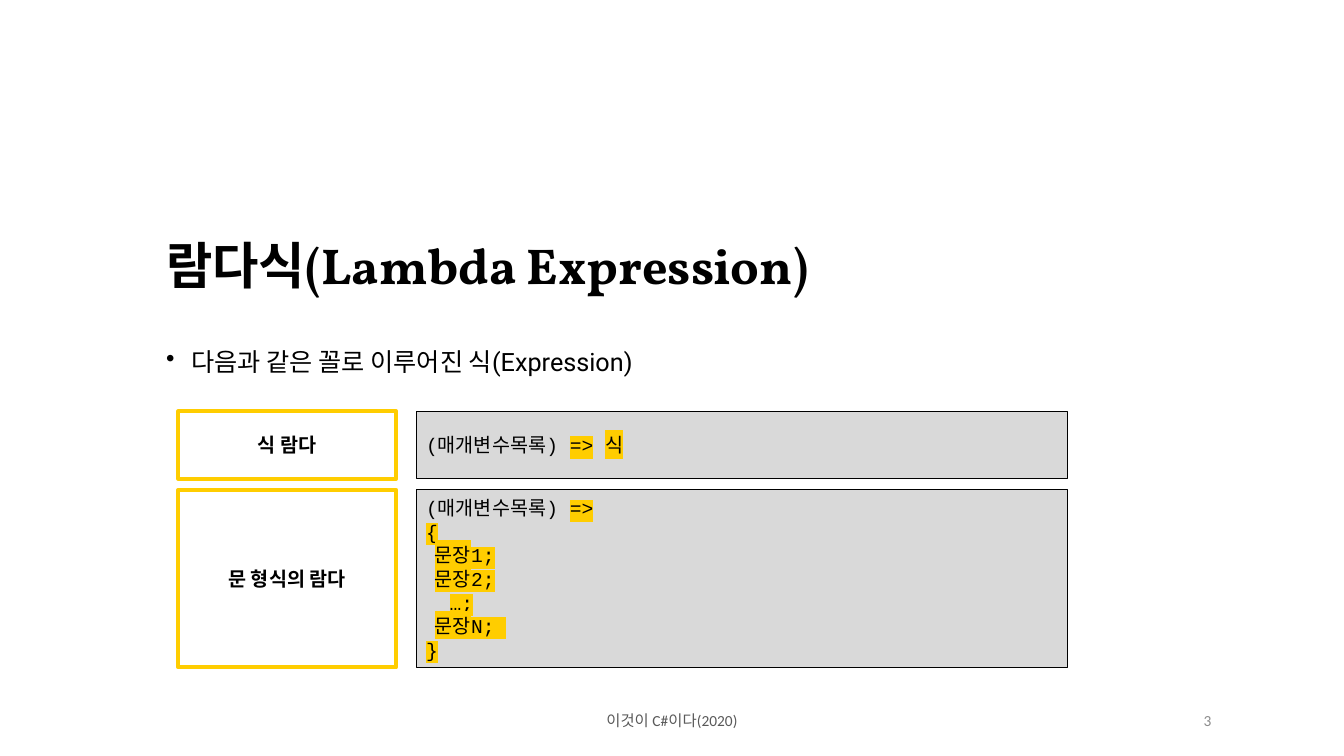
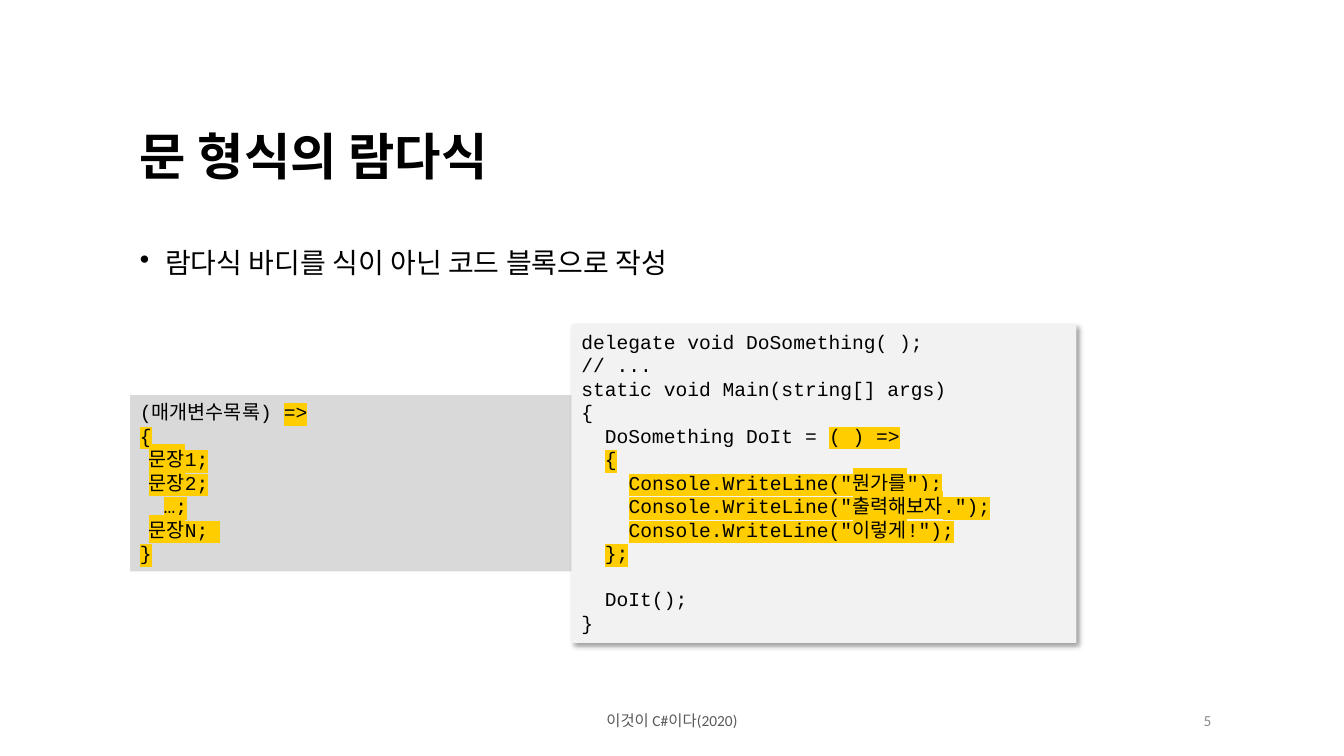
"""Two slides on lambda expressions."""
from collections import namedtuple
from dataclasses import dataclass

from lxml import etree
from pptx import Presentation, util as u
from pptx.dml.color import RGBColor
from pptx.enum import shapes, text
from pptx.oxml import ns

Box = namedtuple("Box", "left top width height")
ALIGN = text.PP_ALIGN
ANCHOR = text.MSO_ANCHOR


@dataclass(frozen=True)
class Theme:
    """Colours, fonts and type sizes of the deck."""
    ink: str = "000000"
    paper: str = "FFFFFF"
    accent: str = "FFCD00"
    code_fill: str = "D9D9D9"
    sample_fill: str = "F2F2F2"
    footer_ink: str = "595959"
    number_ink: str = "8C8C8C"
    title_font: str = "Vollkorn"
    body_font: str = "Roboto"
    code_font: str = "Courier New"
    footer_font: str = "Calibri"
    title_size: float = 36
    code_size: float = 14
    footer_size: float = 11
    code_line: float = 15.86


THEME = Theme()
WIDTH, HEIGHT = 960, 540
FOOTER = "이것이 C#이다(2020)"
FOOTER_BOX = Box(318, 500.4, 324, 28.8)
NUMBER_BOX = Box(678, 500.4, 194.4, 28.8)

# Each code line alternates plain and highlighted pieces.
STATEMENT_FORM = [
    ("(매개변수목록) ", "=>"),
    ("", "{"),
    ("  ", "문장1;"),
    ("  ", "문장2;"),
    ("  ", "…;"),
    ("  ", "문장N; "),
    ("", "}"),
]
EXPRESSION_FORM = [("(매개변수목록) ", "=>", " ", "식")]
SAMPLE_START = [
    ("delegate void DoSomething( );",),
    ("// ...",),
    ("static void Main(string[] args)",),
    ("{",),
    ("  DoSomething DoIt = ", "( ) =>"),
    ("  ", "{"),
    ("    ", 'Console.WriteLine("뭔가를");'),
    ("    ", 'Console.WriteLine("출력해보자.");'),
    ("    ", 'Console.WriteLine("이렇게!");'),
    ("  ", "};"),
]
SAMPLE_END = [("  DoIt();",), ("}",)]


def points(box):
    """Turn a box into lengths."""
    return [u.Pt(value) for value in box]


def add_span(para, words, *, size, font, color=THEME.ink, bold=False, highlight=None):
    """Add one formatted run to a paragraph."""
    span = para.add_run()
    span.text = words
    span.font.size = u.Pt(size)
    span.font.name = font
    span.font.bold = bold
    span.font.color.rgb = RGBColor.from_string(color)
    if highlight:
        mark = etree.Element(ns.qn("a:highlight"))
        etree.SubElement(mark, ns.qn("a:srgbClr"), val=highlight)
        span.font._rPr.find(ns.qn("a:solidFill")).addnext(mark)


def add_para(frame, *, align=ALIGN.LEFT, before=0, spacing=None):
    """Use the empty first paragraph of a frame, or add another."""
    first = frame.paragraphs[0]
    para = frame.add_paragraph() if first.runs else first
    para.alignment = align
    para.space_before = u.Pt(before)
    if spacing:
        para.line_spacing = spacing
    return para


def add_bullet(para, indent):
    """Give a paragraph a round bullet with a hanging indent."""
    props = para._p.get_or_add_pPr()
    props.set("marL", str(u.Pt(indent)))
    props.set("indent", str(u.Pt(-indent)))
    etree.SubElement(props, ns.qn("a:buChar"), char="•")


def add_text_box(page, box, *, anchor=ANCHOR.TOP, inset=None):
    """Place a wrapping text box and return its frame."""
    frame = page.shapes.add_textbox(*points(box)).text_frame
    frame.word_wrap = True
    frame.vertical_anchor = anchor
    if inset is not None:
        frame.margin_left = frame.margin_right = u.Pt(inset)
        frame.margin_top = frame.margin_bottom = u.Pt(inset)
    return frame


def add_panel(page, box, *, fill, line=None, weight=0.75, anchor=ANCHOR.MIDDLE):
    """Place a filled rectangle and return it."""
    panel = page.shapes.add_shape(shapes.MSO_SHAPE.RECTANGLE, *points(box))
    panel.shadow.inherit = False
    panel.fill.solid()
    panel.fill.fore_color.rgb = RGBColor.from_string(fill)
    if line:
        panel.line.color.rgb = RGBColor.from_string(line)
        panel.line.width = u.Pt(weight)
    else:
        panel.line.fill.background()
    panel.text_frame.word_wrap = True
    panel.text_frame.vertical_anchor = anchor
    return panel


def add_shadow(panel, *, blur, distance, angle, opacity):
    """Give a panel a soft outer shadow."""
    effects = panel.element.spPr.find(ns.qn("a:effectLst"))
    shadow = etree.SubElement(
        effects, ns.qn("a:outerShdw"), blurRad=str(u.Pt(blur)),
        dist=str(u.Pt(distance)), dir=str(angle * 60000),
        algn="tl", rotWithShape="0")
    color = etree.SubElement(shadow, ns.qn("a:srgbClr"), val=THEME.ink)
    etree.SubElement(color, ns.qn("a:alpha"), val=str(opacity * 1000))


def write_code(frame, lines, before=0):
    """Write code lines, with space above the first."""
    for row, pieces in enumerate(lines):
        para = add_para(frame, before=0 if row else before)
        for order, piece in enumerate(pieces):
            if piece:
                add_span(para, piece, size=THEME.code_size, font=THEME.code_font,
                         highlight=THEME.accent if order % 2 else None)


def add_heading(page, box, title, point, *, size, gap):
    """Write the title and the bullet point below it."""
    frame = add_text_box(page, box, inset=7.2)
    para = add_para(frame, before=6, spacing=0.9)
    add_span(para, title, size=THEME.title_size, font=THEME.title_font, bold=True)
    para = add_para(frame, before=gap, spacing=0.9)
    add_bullet(para, 18)
    add_span(para, point, size=size, font=THEME.body_font)


def add_footer(page, number):
    """Write the book title and the page number."""
    for box, words, align, color in (
            (FOOTER_BOX, FOOTER, ALIGN.CENTER, THEME.footer_ink),
            (NUMBER_BOX, str(number), ALIGN.RIGHT, THEME.number_ink)):
        para = add_para(add_text_box(page, box, anchor=ANCHOR.MIDDLE), align=align)
        add_span(para, words, size=THEME.footer_size, font=THEME.footer_font,
                 color=color)


def add_form_row(page, box, label, lines):
    """Place a label panel and its code panel side by side."""
    label_width, gap = 155.5, 14.4
    name = add_panel(page, box._replace(width=label_width),
                     fill=THEME.paper, line=THEME.accent, weight=3)
    para = add_para(name.text_frame, align=ALIGN.CENTER)
    add_span(para, label, size=THEME.code_size, font=THEME.code_font, bold=True)
    offset = label_width + gap
    code = add_panel(page, box._replace(left=box.left + offset,
                                        width=box.width - offset),
                     fill=THEME.code_fill, line=THEME.ink)
    write_code(code.text_frame, lines)


def add_page(deck, number):
    """Add a blank page with its footer."""
    page = deck.slides.add_slide(deck.slide_layouts[6])
    add_footer(page, number)
    return page


def build_forms(deck, number):
    """Show the two forms of a lambda expression."""
    page = add_page(deck, number)
    add_heading(page, Box(111.6, 164.9, 754.6, 221), "람다식(Lambda Expression)",
                "다음과 같은 꼴로 이루어진 식(Expression)", size=18, gap=39)
    top, gap = 293.8, 8
    for label, lines, height in (("식 람다", EXPRESSION_FORM, 48.2),
                                 ("문 형식의 람다", STATEMENT_FORM, 126.7)):
        add_form_row(page, Box(127.4, top, 635, height), label, lines)
        top += height + gap


def build_statement(deck, number):
    """Show the statement form beside a code sample."""
    page = add_page(deck, number)
    add_heading(page, Box(92.9, 87.1, 754.6, 221), "문 형식의 람다식",
                "람다식 바디를 식이 아닌 코드 블록으로 작성", size=20, gap=45)
    form = add_panel(page, Box(92.9, 282.2, 501.8, 126), fill=THEME.code_fill,
                     anchor=ANCHOR.TOP)
    write_code(form.text_frame, STATEMENT_FORM)
    sample = add_panel(page, Box(408.2, 231.8, 360.7, 227.5),
                       fill=THEME.sample_fill, anchor=ANCHOR.TOP)
    add_shadow(sample, blur=4, distance=3, angle=45, opacity=40)
    write_code(sample.text_frame, SAMPLE_START)
    write_code(sample.text_frame, SAMPLE_END, before=THEME.code_line)


def main():
    """Build and save the deck."""
    deck = Presentation()
    deck.slide_width, deck.slide_height = u.Pt(WIDTH), u.Pt(HEIGHT)
    build_forms(deck, 3)
    build_statement(deck, 5)
    deck.save("out.pptx")


main()
